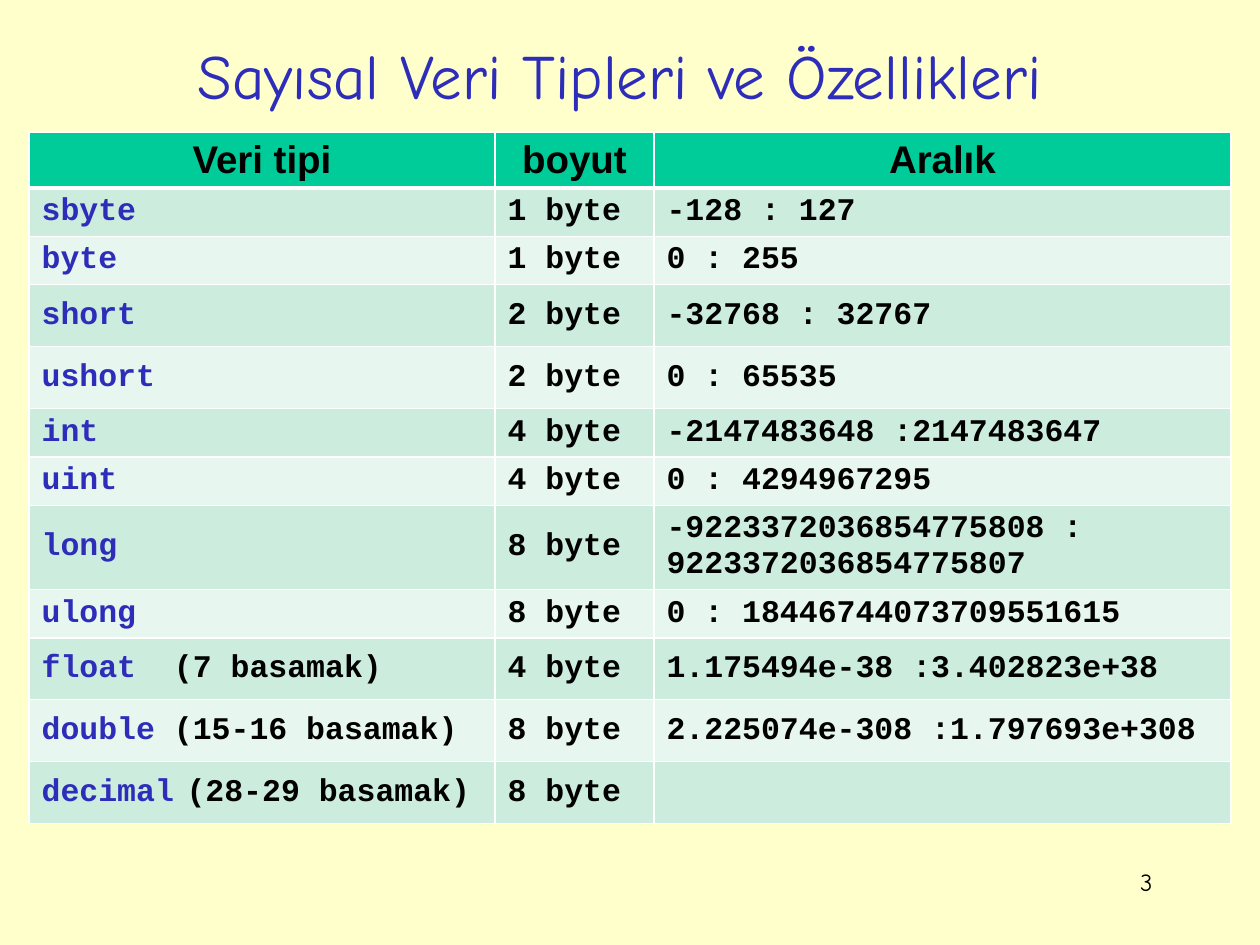
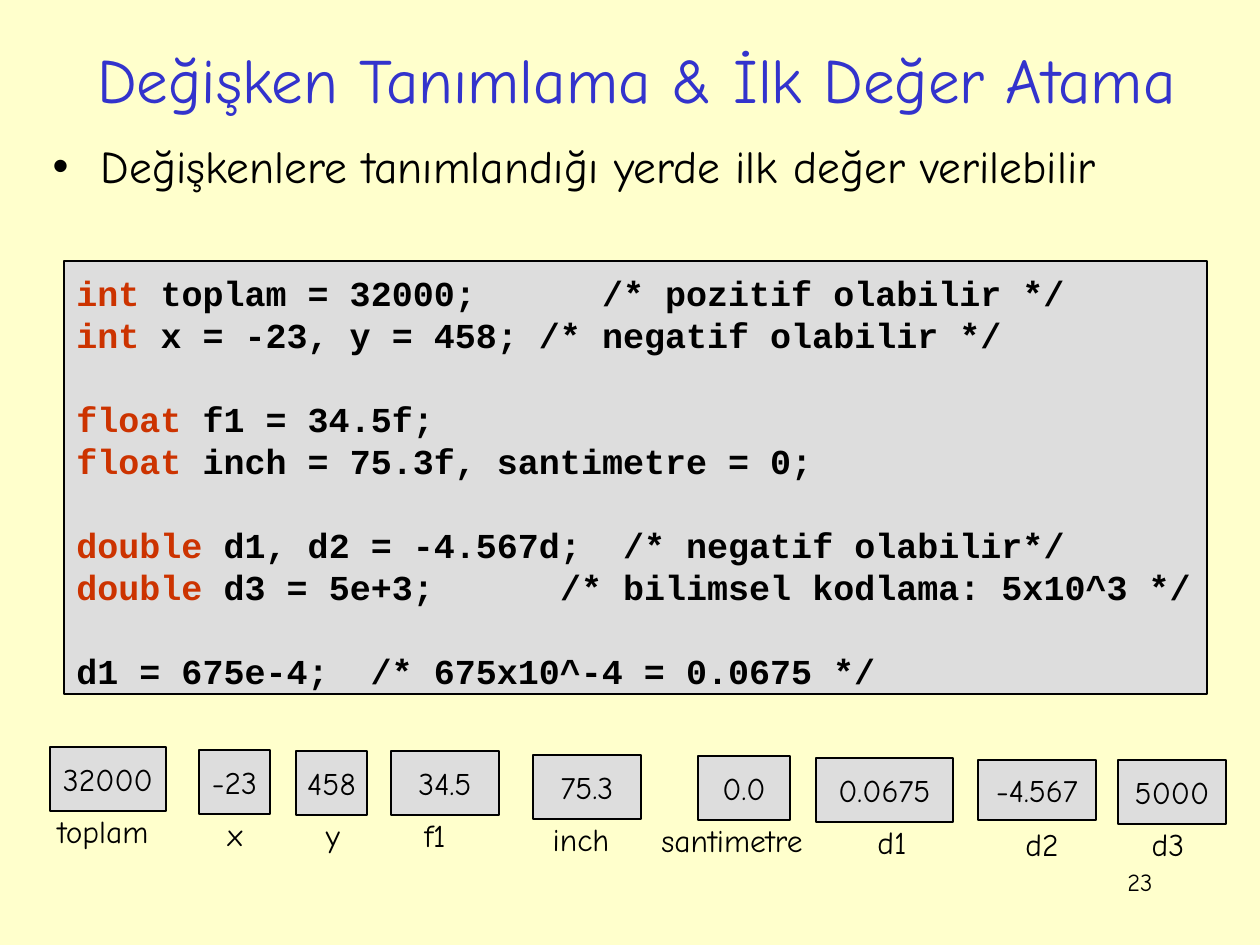
from lxml import etree
from pptx import Presentation, util as u
from pptx.dml.color import RGBColor
from pptx.enum import shapes, text
from pptx.oxml.ns import qn

# Shared look
PX = 914400 // 126
SANS, HEADER_FONT, MONO = "Comic Neue", "Arial", "Courier New"
PAPER, BLACK, WHITE, GREY = "FFFFCC", "000000", "FFFFFF", "DDDDDD"
KEYWORD_BLUE, TITLE_BLUE, KEYWORD_RED = "2D2DB9", "3333CC", "CC3300"
HEADER_GREEN, ROW_GREENS = "00CC99", ("CCECDE", "E7F6EF")
LEFT, CENTER, RIGHT = text.PP_ALIGN.LEFT, text.PP_ALIGN.CENTER, text.PP_ALIGN.RIGHT
TOP, MIDDLE, BOTTOM = text.MSO_ANCHOR.TOP, text.MSO_ANCHOR.MIDDLE, text.MSO_ANCHOR.BOTTOM

# Content of the type table: type, note, size, range, row height
TYPES_TITLE = "Sayısal Veri Tipleri ve Özellikleri"
TABLE_HEADER = ("Veri tipi", "boyut", "Aralık")
HEADER_HEIGHT = 56
COLUMN_WIDTHS = (466, 159, 577)
TYPES = [
    ("sbyte", "", "1 byte", "-128 : 127", 48),
    ("byte", "", "1 byte", "0 : 255", 48),
    ("short", "", "2 byte", "-32768 : 32767", 62),
    ("ushort", "", "2 byte", "0 : 65535", 62),
    ("int", "", "4 byte", "-2147483648 :2147483647", 48),
    ("uint", "", "4 byte", "0 : 4294967295", 48),
    ("long", "", "8 byte", "-9223372036854775808 : 9223372036854775807", 84),
    ("ulong", "", "8 byte", "0 : 18446744073709551615", 48),
    ("float  ", "(7 basamak)", "4 byte", "1.175494e-38 :3.402823e+38", 62),
    ("double ", "(15-16 basamak)", "8 byte", "2.225074e-308 :1.797693e+308", 62),
    ("decimal", "(28-29 basamak)", "8 byte", "", 62),
]

# Content of the variables slide
VARIABLES_TITLE = "Değişken Tanımlama & İlk Değer Atama"
VARIABLES_POINT = "Değişkenlere tanımlandığı yerde ilk değer verilebilir"
CODE_GROUPS = [
    [("int", " toplam = 32000;      /* pozitif olabilir */"),
     ("int", " x = -23, y = 458; /* negatif olabilir */")],
    [("float", " f1 = 34.5f;"),
     ("float", " inch = 75.3f, santimetre = 0;")],
    [("double", " d1, d2 = -4.567d;  /* negatif olabilir*/"),
     ("double", " d3 = 5e+3;      /* bilimsel kodlama: 5x10^3 */")],
    [("", "d1 = 675e-4;  /* 675x10^-4 = 0.0675 */")],
]
# name, value, box left, top, width, height, centre of the name
MEMORY = [
    ("toplam", "32000", 50, 747, 116, 64, 103),
    ("x", "-23", 199, 750, 71, 64, 235),
    ("y", "458", 296, 751, 71, 64, 333),
    ("f1", "34.5", 391, 751, 108, 64, 435),
    ("inch", "75.3", 533, 755, 108, 64, 581),
    ("santimetre", "0.0", 698, 756, 92, 64, 732),
    ("d1", "0.0675", 816, 758, 137, 64, 892),
    ("d2", "-4.567", 978, 760, 118, 60, 1042),
    ("d3", "5000", 1118, 760, 108, 64, 1168),
]
LABEL_DROP, LABEL_WIDTH, LABEL_HEIGHT = 59, 180, 50


def px(*lengths):
    return [u.Emu(length * PX) for length in lengths]


def color(hex_code):
    return RGBColor.from_string(hex_code)


def write(paragraph, runs, font, size, align=LEFT, bold=False):
    """Fill a paragraph with (text, colour[, size]) runs."""
    paragraph.alignment = align
    paragraph.font.name, paragraph.font.size, paragraph.font.bold = font, u.Pt(size), bold
    for words, run_color, *own_size in runs:
        run = paragraph.add_run()
        run.text = words
        run.font.color.rgb = color(run_color)
        if own_size:
            run.font.size = u.Pt(own_size[0])


def place(shape, left, top, width, height, anchor):
    shape.left, shape.top, shape.width, shape.height = px(left, top, width, height)
    frame = shape.text_frame
    frame.auto_size = text.MSO_AUTO_SIZE.NONE
    frame.word_wrap = True
    frame.vertical_anchor = anchor
    return frame


def add_slide(presentation, layout, title, title_box, title_color, number):
    slide = presentation.slides.add_slide(presentation.slide_layouts[layout])
    frame = place(slide.shapes.title, *title_box, MIDDLE)
    write(frame.paragraphs[0], [(title, title_color)], SANS, 36, CENTER)
    add_text(slide, number, (903, 861, 262, 63), 14, RIGHT)
    return slide


def add_text(slide, words, box, size, align):
    frame = place(slide.shapes.add_textbox(*px(*box)), *box, TOP)
    write(frame.paragraphs[0], [(words, BLACK)], SANS, size, align)


def add_box(slide, box, anchor):
    shape = slide.shapes.add_shape(shapes.MSO_SHAPE.RECTANGLE, *px(*box))
    shape.shadow.inherit = False
    shape.fill.solid()
    shape.fill.fore_color.rgb = color(GREY)
    shape.line.color.rgb = color(BLACK)
    shape.line.width = u.Pt(0.75)
    return place(shape, *box, anchor)


def style_cell(cell, fill, anchor, bottom_width=1):
    properties = cell._tc.get_or_add_tcPr()
    for side, width in (("L", 1), ("R", 1), ("T", 1), ("B", bottom_width)):
        line = etree.SubElement(properties, qn("a:ln" + side), w=str(u.Pt(width)))
        solid = etree.SubElement(line, qn("a:solidFill"))
        etree.SubElement(solid, qn("a:srgbClr"), val=WHITE)
    cell.fill.solid()
    cell.fill.fore_color.rgb = color(fill)
    cell.vertical_anchor = anchor


def build_types_slide(presentation):
    slide = add_slide(presentation, 5, TYPES_TITLE, (84, 37, 1071, 74), KEYWORD_BLUE, "3")
    heights = [HEADER_HEIGHT] + [row[-1] for row in TYPES]
    box = px(29, 132, sum(COLUMN_WIDTHS), sum(heights))
    table = slide.shapes.add_table(len(heights), len(COLUMN_WIDTHS), *box).table
    for column, width in zip(table.columns, px(*COLUMN_WIDTHS)):
        column.width = width
    for row, height in zip(table.rows, px(*heights)):
        row.height = height

    # Header row
    for cell, heading in zip(table.rows[0].cells, TABLE_HEADER):
        style_cell(cell, HEADER_GREEN, BOTTOM, 3)
        write(cell.text_frame.paragraphs[0], [(heading, BLACK)], HEADER_FONT, 22, CENTER, True)

    # One row per type, in alternating greens
    for index, (name, note, size, limits, _) in enumerate(TYPES):
        name_runs = [(name, KEYWORD_BLUE)]
        if note and not name.endswith(" "):
            name_runs.append((" ", KEYWORD_BLUE, 12))
        if note:
            name_runs.append((note, BLACK))
        row_runs = [name_runs, [(size, BLACK)], [(limits, BLACK)] if limits else []]
        for cell, runs in zip(table.rows[index + 1].cells, row_runs):
            style_cell(cell, ROW_GREENS[index % 2], MIDDLE)
            write(cell.text_frame.paragraphs[0], runs, MONO, 18, bold=True)


def build_variables_slide(presentation):
    slide = add_slide(presentation, 1, VARIABLES_TITLE, (35, 35, 1203, 86), TITLE_BLUE, "23")

    # Bullet
    paragraph = place(slide.placeholders[1], 40, 132, 1181, 93, TOP).paragraphs[0]
    properties = paragraph._p.get_or_add_pPr()
    properties.set("marL", str(48 * PX))
    properties.set("indent", str(-48 * PX))
    etree.SubElement(properties, qn("a:buChar"), char="•")
    paragraph.space_before = u.Pt(0)
    write(paragraph, [(VARIABLES_POINT, BLACK)], SANS, 26)

    # Code listing, one blank line's space between groups
    frame = add_box(slide, (64, 261, 1143, 433), TOP)
    frame.margin_top, = px(10)
    for group_index, group in enumerate(CODE_GROUPS):
        for line_index, (keyword, rest) in enumerate(group):
            first = group_index == line_index == 0
            paragraph = frame.paragraphs[0] if first else frame.add_paragraph()
            paragraph.line_spacing = u.Pt(24)
            paragraph.space_before = u.Pt(24 if group_index and not line_index else 0)
            runs = [(keyword, KEYWORD_RED)] if keyword else []
            write(paragraph, runs + [(rest, BLACK)], MONO, 20, bold=True)

    # Memory boxes with their variable names
    for name, value, left, top, width, height, center in MEMORY:
        frame = add_box(slide, (left, top, width, height), MIDDLE)
        frame.margin_left = frame.margin_right = 0
        write(frame.paragraphs[0], [(value, BLACK)], SANS, 18, CENTER)
        label_box = (center - LABEL_WIDTH // 2, top + LABEL_DROP, LABEL_WIDTH, LABEL_HEIGHT)
        add_text(slide, name, label_box, 18, CENTER)


def main():
    presentation = Presentation()
    presentation.slide_width, presentation.slide_height = px(1260, 945)
    background = presentation.slide_master.background.fill
    background.solid()
    background.fore_color.rgb = color(PAPER)
    build_types_slide(presentation)
    build_variables_slide(presentation)
    presentation.save("out.pptx")


if __name__ == "__main__":
    main()
